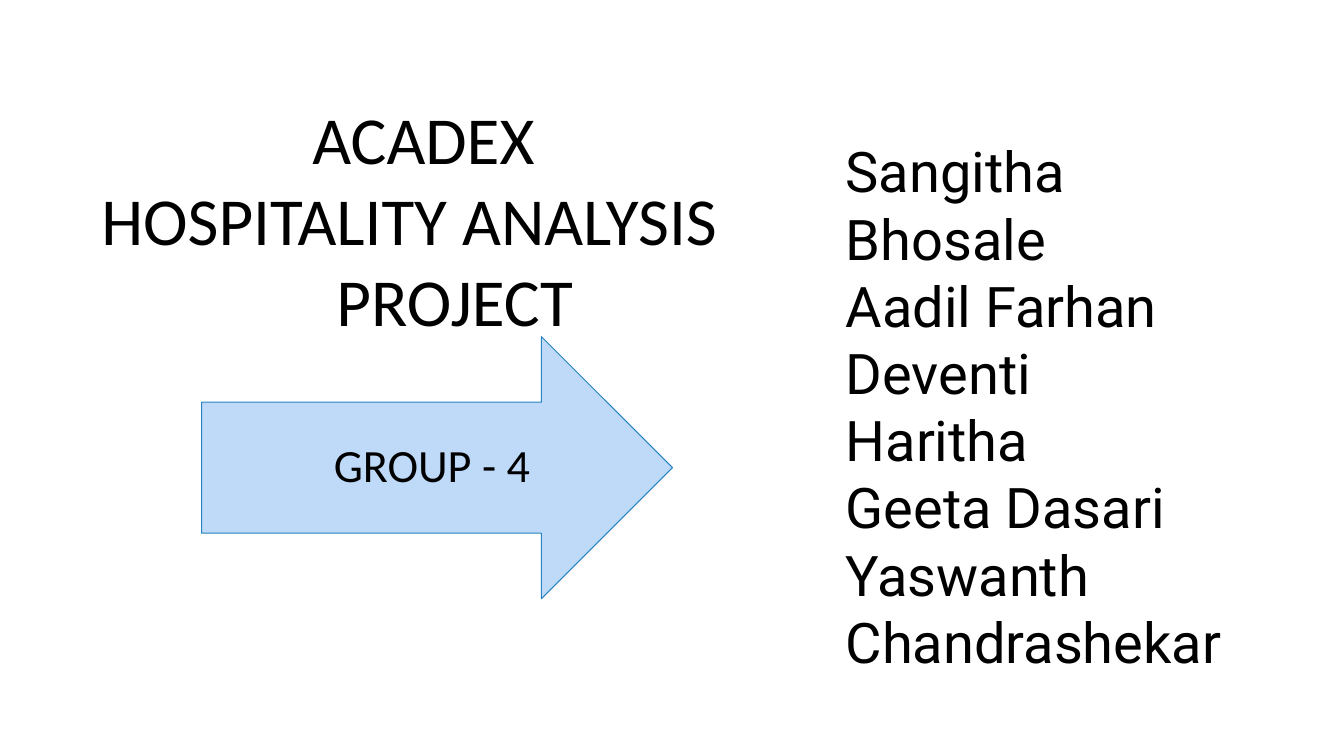
from pptx import Presentation
from pptx.dml.color import RGBColor
from pptx.enum.shapes import MSO_SHAPE
from pptx.enum.text import MSO_ANCHOR, PP_ALIGN
from pptx.util import Pt

PX = 9144
BLACK = RGBColor(0x00, 0x00, 0x00)
LIGHT_BLUE = RGBColor(0xBF, 0xDA, 0xF9)
BLUE = RGBColor(0x26, 0x83, 0xBF)


def add_lines(tf, lines, font, size, align):
    tf.word_wrap = True
    for i, (text, indent) in enumerate(lines):
        p = tf.paragraphs[0] if i == 0 else tf.add_paragraph()
        p.alignment = align
        if indent:
            pPr = p._p.get_or_add_pPr()
            pPr.set("marL", str(indent * PX))
            pPr.set("indent", "0")
        r = p.add_run()
        r.text = text
        r.font.name = font
        r.font.size = Pt(size)
        r.font.color.rgb = BLACK


prs = Presentation()
prs.slide_width = 1333 * PX
prs.slide_height = 750 * PX
s = prs.slides.add_slide(prs.slide_layouts[6])

members = ["Sangitha Bhosale", "Aadil Farhan", "Deventi", "Haritha",
           "Geeta Dasari", "Yaswanth", "Chandrashekar"]
names = s.shapes.add_textbox(829 * PX, 131 * PX, 437 * PX, 542 * PX)
add_lines(names.text_frame, [(name, 0) for name in members],
          "Roboto", 40, PP_ALIGN.LEFT)

title = s.shapes.add_textbox(0, 92 * PX, 812 * PX, 252 * PX)
add_lines(title.text_frame,
          [("ACADEX", 28), ("HOSPITALITY ANALYSIS", 0), ("PROJECT", 90)],
          "Calibri", 48, PP_ALIGN.CENTER)

arrow = s.shapes.add_shape(MSO_SHAPE.RIGHT_ARROW, 200 * PX, 334 * PX, 467 * PX, 260 * PX)
arrow.shadow.inherit = False
arrow.fill.solid()
arrow.fill.fore_color.rgb = LIGHT_BLUE
arrow.line.color.rgb = BLUE
arrow.line.width = Pt(0.75)
tf = arrow.text_frame
tf.margin_left = 55 * PX
tf.margin_right = tf.margin_top = tf.margin_bottom = 0
tf.vertical_anchor = MSO_ANCHOR.MIDDLE
add_lines(tf, [("GROUP - 4", 0)], "Calibri", 33, PP_ALIGN.CENTER)
tf.paragraphs[0].line_spacing = 0.9

prs.save("out.pptx")
